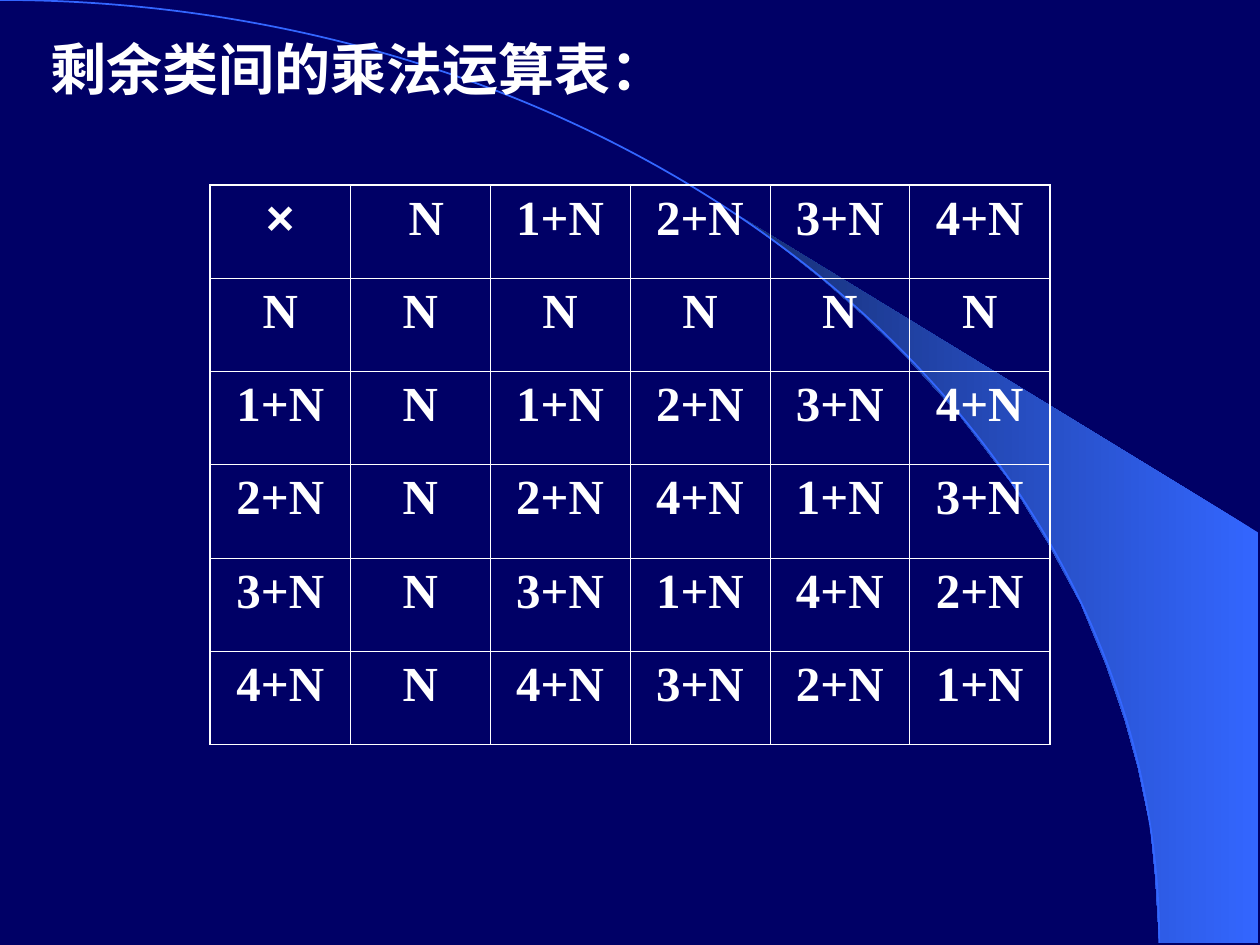
from lxml import etree
from pptx import Presentation
from pptx.dml.color import RGBColor
from pptx.enum.shapes import MSO_SHAPE
from pptx.enum.text import MSO_ANCHOR, PP_ALIGN
from pptx.oxml.ns import qn
from pptx.util import Cm, Pt

ARC = MSO_SHAPE.ARC
TOP = MSO_ANCHOR.TOP
CENTER = PP_ALIGN.CENTER

# Content
TITLE = "剩余类间的乘法运算表："
PRODUCTS = [
    ["×", " N", "1+N", "2+N", "3+N", "4+N"],
    ["N", "N", "N", "N", "N", "N"],
    ["1+N", "N", "1+N", "2+N", "3+N", "4+N"],
    ["2+N", "N", "2+N", "4+N", "1+N", "3+N"],
    ["3+N", "N", "3+N", "1+N", "4+N", "2+N"],
    ["4+N", "N", "4+N", "3+N", "2+N", "1+N"],
]
COLORS = {"background": "000066", "text": "FFFFFF", "bright": "3366FF", "dark": "172F75"}
FONT, SIGN_FONT = "Times New Roman", "Arial"

# Layout in centimetres, line widths in points
COLUMN_WIDTH, ROW_HEIGHT = 2.82, 1.88
TABLE_LEFT, TABLE_TOP = 4.24, 3.73
OUTER_LINE, INNER_LINE = 1.08, 0.45
BEAM = [
    (23.37, 19), (25.37, 19.02), (25.37, 10.74), (14.96, 4.39), (15.85, 5.05),
    (16.59, 5.64), (17.4, 6.35), (18.19, 7.11), (19.35, 8.38), (20.4, 9.75),
    (21.13, 10.95), (21.79, 12.17), (22.3, 13.41), (22.68, 14.53),
    (22.94, 15.47), (23.19, 16.66), (23.29, 17.68),
]


def color(name):
    return RGBColor.from_string(COLORS[name])


def add_run(paragraph, text, size, font_name=FONT):
    run = paragraph.add_run()
    run.text = text
    run.font.name = font_name
    run.font.size = Pt(size)
    run.font.bold = True
    run.font.color.rgb = color("text")


def set_borders(cell, widths):
    """Draw the left, right, top and bottom borders, in that order."""
    properties = cell._tc.get_or_add_tcPr()
    for position, (side, width) in enumerate(zip("LRTB", widths)):
        line = etree.Element(qn(f"a:ln{side}"), w=str(int(Pt(width))))
        fill = etree.SubElement(line, qn("a:solidFill"))
        etree.SubElement(fill, qn("a:srgbClr"), val=COLORS["text"])
        properties.insert(position, line)


def add_background(slide):
    slide.background.fill.solid()
    slide.background.fill.fore_color.rgb = color("background")

    # Light beam
    points = [(Cm(x), Cm(y)) for x, y in BEAM]
    builder = slide.shapes.build_freeform(*points[0])
    builder.add_line_segments(points[1:], close=True)
    beam = builder.convert_to_shape()
    beam.shadow.inherit = False
    beam.line.fill.background()
    beam.fill.gradient()
    beam.fill.gradient_angle = 180
    for stop, name, position in zip(beam.fill.gradient_stops, ("bright", "dark"), (0, 1)):
        stop.color.rgb = color(name)
        stop.position = position

    # Quarter ellipse
    arc = slide.shapes.add_shape(ARC, Cm(-23.37), Cm(0), Cm(46.74), Cm(38.02))
    arc.shadow.inherit = False
    arc.fill.background()
    arc.line.color.rgb = color("bright")
    arc.line.width = Pt(1)


def add_title(slide):
    box = slide.shapes.add_textbox(Cm(0.76), Cm(0.58), Cm(23.6), Cm(17.83))
    box.text_frame.word_wrap = True
    box.text_frame.vertical_anchor = TOP
    add_run(box.text_frame.paragraphs[0], TITLE, 32)


def add_product_table(slide):
    row_count, column_count = len(PRODUCTS), len(PRODUCTS[0])
    table = slide.shapes.add_table(
        row_count, column_count, Cm(TABLE_LEFT), Cm(TABLE_TOP),
        Cm(COLUMN_WIDTH * column_count), Cm(ROW_HEIGHT * row_count)).table
    table.first_row = table.horz_banding = False
    for column in table.columns:
        column.width = Cm(COLUMN_WIDTH)
    for row in table.rows:
        row.height = Cm(ROW_HEIGHT)
    for r, values in enumerate(PRODUCTS):
        for c, value in enumerate(values):
            cell = table.cell(r, c)
            cell.fill.background()
            on_edge = (c == 0, c == column_count - 1, r == 0, r == row_count - 1)
            set_borders(cell, [OUTER_LINE if edge else INNER_LINE for edge in on_edge])
            paragraph = cell.text_frame.paragraphs[0]
            paragraph.alignment = CENTER
            add_run(paragraph, value, 28, SIGN_FONT if value == "×" else FONT)


def main():
    presentation = Presentation()
    presentation.slide_width, presentation.slide_height = Cm(25.4), Cm(19.05)
    slide = presentation.slides.add_slide(presentation.slide_layouts[6])
    add_background(slide)
    add_title(slide)
    add_product_table(slide)
    presentation.save("out.pptx")


if __name__ == "__main__":
    main()
